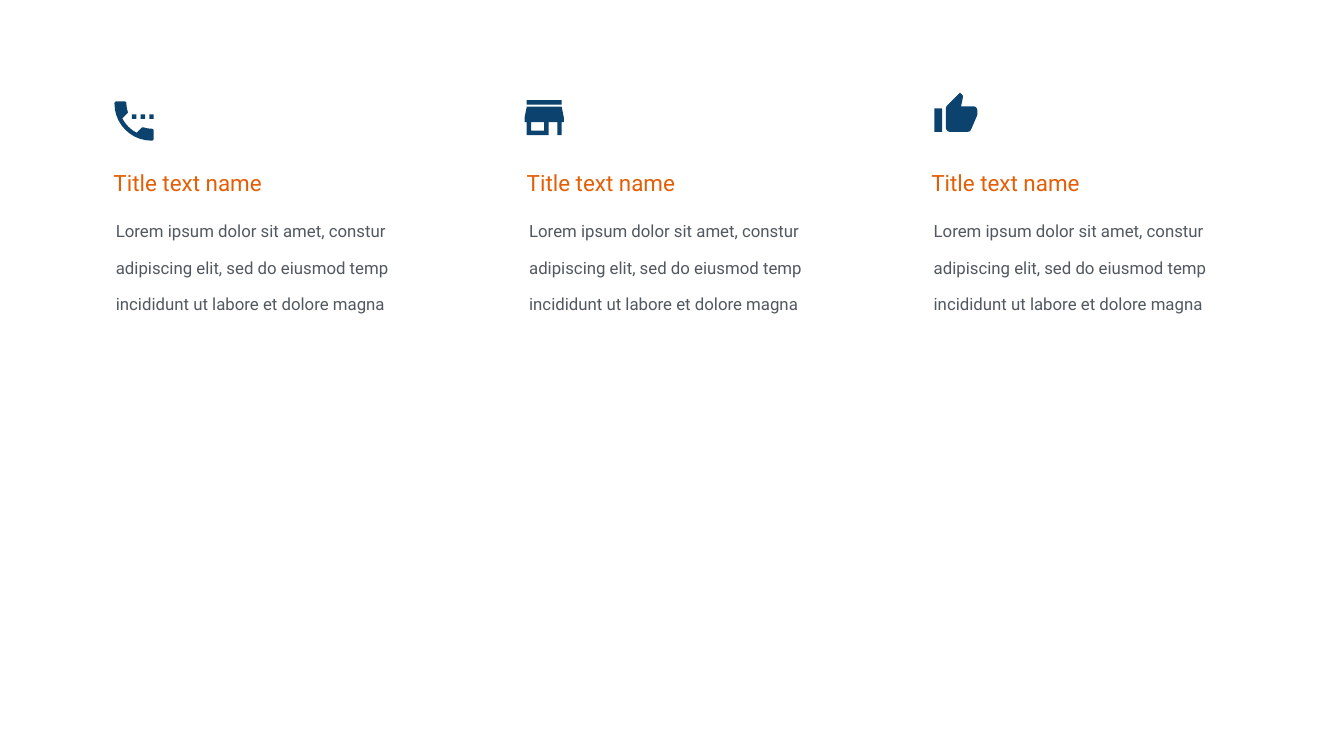
"""Build a slide with three columns, each with an icon, a title and a short text."""
from pptx import Presentation
from pptx.dml.color import RGBColor
from pptx.enum.text import MSO_AUTO_SIZE
from pptx.util import Cm, Pt

COLORS = {"icon": "0B426E", "title": "E45E06", "body": "51585F", "back": "FFFFFF"}
FONT = "Roboto"
TITLE = "Title text name"
BODY = ("Lorem ipsum dolor sit amet, constur adipiscing elit, "
        "sed do eiusmod temp incididunt ut labore et dolore magna")


def rect(x, y, w, h):
    """Return the corners of a rectangle as one contour."""
    return [(x, y), (x + w, y), (x + w, y + h), (x, y + h)]


# Icons are drawn on a 24-unit grid; a six-number step is a cubic curve.
PHONE = [
    *[rect(x, 9, 2, 2) for x in (11, 15, 19)],
    [(20, 15.5), (18.75, 15.5, 17.55, 15.3, 16.43, 14.93),
     (16.08, 14.82, 15.69, 14.9, 15.41, 15.17), (13.21, 17.37),
     (10.38, 15.93, 8.06, 13.62, 6.62, 10.79), (8.82, 8.58),
     (9.1, 8.31, 9.18, 7.92, 9.07, 7.57), (8.7, 6.45, 8.5, 5.25, 8.5, 4),
     (8.5, 3.45, 8.05, 3, 7.5, 3), (4, 3), (3.45, 3, 3, 3.45, 3, 4),
     (3, 13.39, 10.61, 21, 20, 21), (20.55, 21, 21, 20.55, 21, 20),
     (21, 16.5), (21, 15.95, 20.55, 15.5, 20, 15.5)],
]
STORE = [
    rect(4, 4, 16, 2),
    [(21, 14), (21, 12), (20, 7), (4, 7), (3, 12), (3, 14), (4, 14), (4, 20),
     (14, 20), (14, 14), (18, 14), (18, 20), (20, 20), (20, 14)],
    rect(6, 14, 6, 4)[::-1],
]
THUMB = [
    rect(1, 9, 4, 12),
    [(23, 10), (23, 8.9, 22.1, 8, 21, 8), (14.69, 8), (15.64, 3.43),
     (15.67, 3.11), (15.67, 2.7, 15.5, 2.32, 15.23, 2.05), (14.17, 1),
     (7.59, 7.59), (7.22, 7.95, 7, 8.45, 7, 9), (7, 19),
     (7, 20.1, 7.9, 21, 9, 21), (18, 21),
     (18.83, 21, 19.54, 20.5, 19.84, 19.78), (22.86, 12.73),
     (22.95, 12.5, 23, 12.26, 23, 12)],
]


def flatten(contour, steps=10):
    """Return the contour's points with its curves cut into short lines."""
    points = []
    for step in contour:
        if len(step) == 2:
            points.append(step)
            continue
        (x0, y0), (x1, y1, x2, y2, x3, y3) = points[-1], step
        for i in range(1, steps + 1):
            t = i / steps
            a, b, c, d = (1 - t) ** 3, 3 * t * (1 - t) ** 2, 3 * t * t * (1 - t), t ** 3
            points.append((a * x0 + b * x1 + c * x2 + d * x3,
                           a * y0 + b * y1 + c * y2 + d * y3))
    return points


def add_icon(slide, contours, left, top, width):
    """Draw an icon's contours as one filled freeform."""
    outlines = [flatten(c) for c in contours]
    xs, ys = zip(*[point for outline in outlines for point in outline])
    unit = width / (max(xs) - min(xs))
    outlines = [[(round((x - min(xs)) * unit), round((y - min(ys)) * unit))
                 for x, y in outline] for outline in outlines]
    builder = slide.shapes.build_freeform(*outlines[0][0])
    for i, outline in enumerate(outlines):
        if i:
            builder.move_to(*outline[0])
        builder.add_line_segments(outline[1:], close=True)
    s = builder.convert_to_shape(left, top)
    s.shadow.inherit = False
    s.fill.solid()
    s.fill.fore_color.rgb = RGBColor.from_string(COLORS["icon"])
    s.line.fill.background()


def add_text(slide, text, left, top, width, height, size, color):
    """Add a wrapped text box and return its text frame."""
    tf = slide.shapes.add_textbox(left, top, width, height).text_frame
    tf.word_wrap = True
    tf.text = text
    font = tf.paragraphs[0].runs[0].font
    font.name, font.size = FONT, Pt(size)
    font.color.rgb = RGBColor.from_string(COLORS[color])
    return tf


def add_title(slide, left):
    """Add a column's title."""
    tf = add_text(slide, TITLE, left, Cm(8.43), Cm(12.83), Cm(1.5), 32, "title")
    tf.margin_left = tf.margin_right = tf.margin_top = tf.margin_bottom = Cm(0.1)


def add_body(slide, left):
    """Add a column's widely spaced text."""
    tf = add_text(slide, BODY, left, Cm(10.21), Cm(14.68), Cm(5.79), 24, "body")
    tf.auto_size = MSO_AUTO_SIZE.SHAPE_TO_FIT_TEXT
    tf.paragraphs[0].line_spacing = 1.8


def main():
    """Build and save the slide."""
    prs = Presentation()
    prs.slide_width, prs.slide_height = Cm(67.74), Cm(38.1)
    slide = prs.slides.add_slide(prs.slide_layouts[6])
    slide.background.fill.solid()
    slide.background.fill.fore_color.rgb = RGBColor.from_string(COLORS["back"])
    columns = [
        (5.59, PHONE, 5.77, 5.11, 1.98),
        (26.42, STORE, 26.44, 5.05, 1.98),
        (46.81, THUMB, 47.09, 4.67, 2.17),
    ]
    for left, icon, icon_left, icon_top, icon_width in columns:
        add_title(slide, Cm(left + 0.03))
        add_body(slide, Cm(left))
        add_icon(slide, icon, Cm(icon_left), Cm(icon_top), Cm(icon_width))
    prs.save("out.pptx")


if __name__ == "__main__":
    main()
